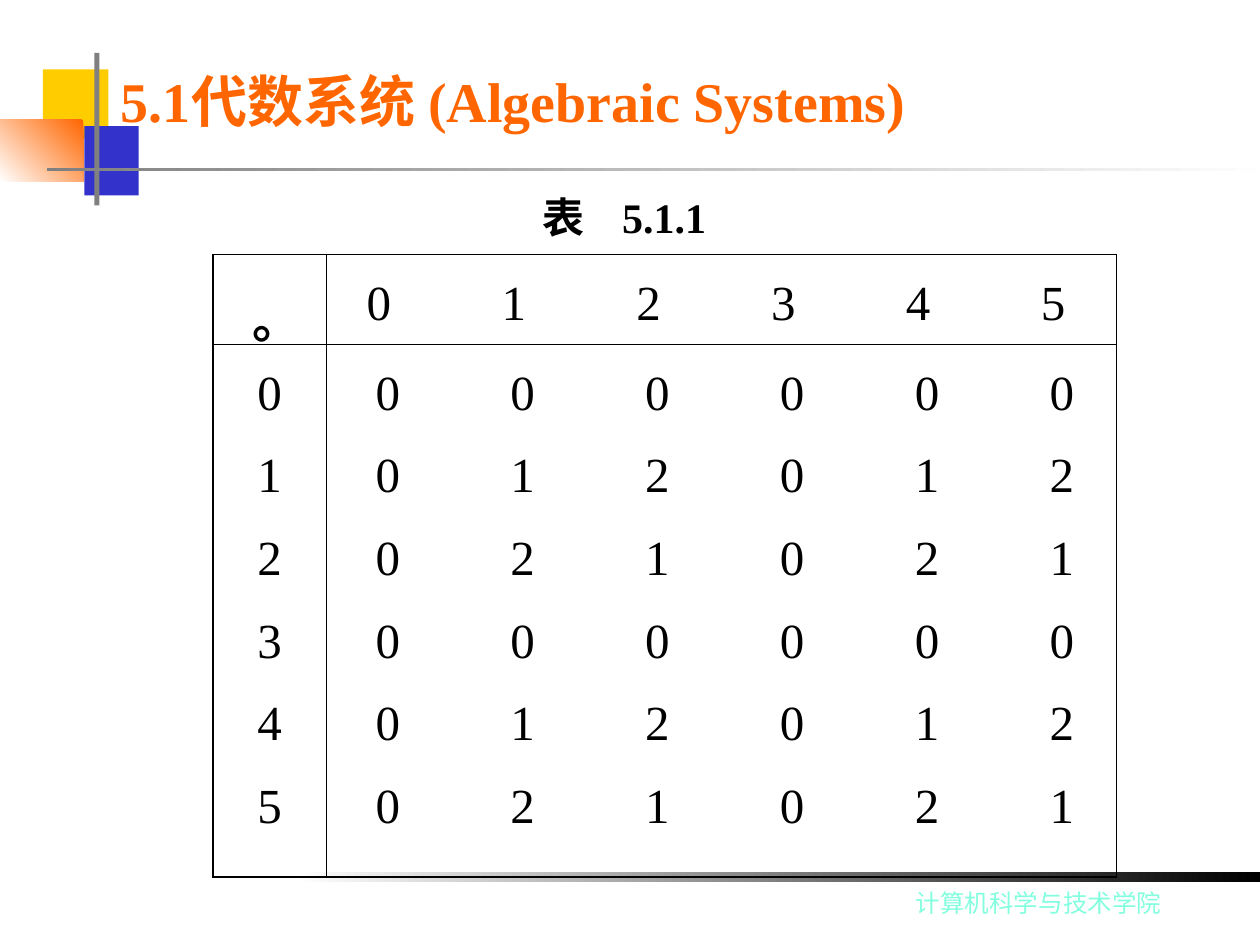
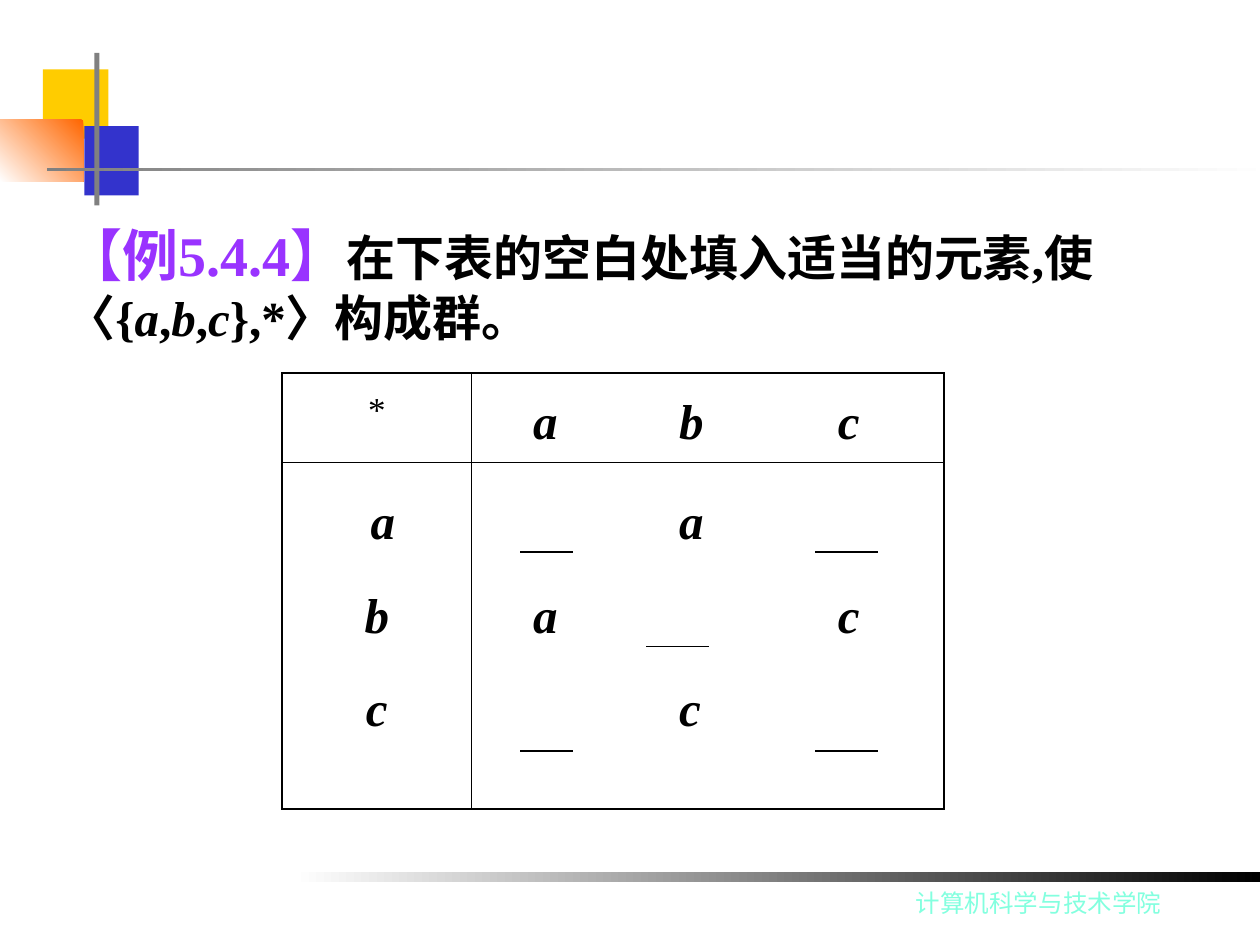
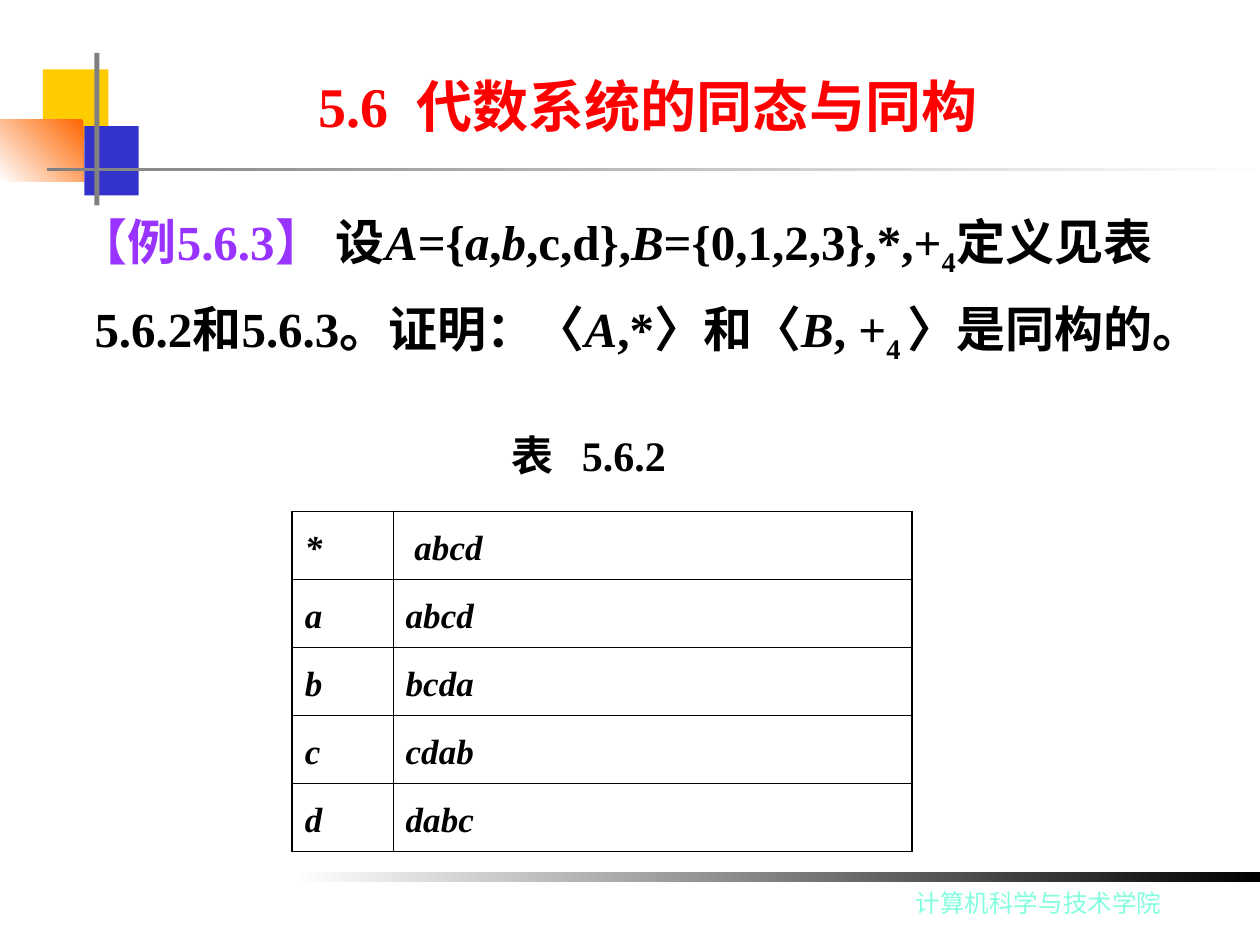
from lxml import etree
from pptx import Presentation
from pptx import util as u
from pptx.dml import color
from pptx.enum import shapes, text
from pptx.oxml import ns

COLUMNS, ROWS = 10, 7.5
SERIF, SANS = "Times New Roman", "Cabin"
BLACK, WHITE, GREY = "000000", "FFFFFF", "808080"
ORANGE, YELLOW, BLUE = "FF6600", "FFCC00", "3333CC"
RED, VIOLET, MINT = "FF0000", "9933FF", "83FFDF"
OUTER, INNER = 1.08, 0.45
TITLE_SIZE, TEXT_SIZE, CAPTION_SIZE, SMALL_SIZE, FOOTER_SIZE = 32, 28, 24, 20, 14
LEFT, CENTER, JUSTIFY = text.PP_ALIGN.LEFT, text.PP_ALIGN.CENTER, text.PP_ALIGN.JUSTIFY
ITALIC = {"italic": True}
SUBSCRIPT = {"baseline": -25}


def rgb(value):
    """Turn a hex string into a colour."""
    return color.RGBColor.from_string(value)


def span(*cells):
    """Turn alternating columns and rows of the slide grid into lengths."""
    return [u.Inches(cell) for cell in cells]


def child(parent, tag, **attributes):
    """Append a drawing element to its parent."""
    return etree.SubElement(parent, ns.qn(tag), attributes)


def style_font(font, name=None, size=None, hue=None, bold=None, italic=None,
               baseline=None, tracking=None):
    """Set only the given properties of a font."""
    if name:
        font.name = name
    if size:
        font.size = u.Pt(size)
    if hue:
        font.color.rgb = rgb(hue)
    if bold is not None:
        font.bold = bold
    if italic is not None:
        font.italic = italic
    if baseline:
        font._element.set("baseline", str(baseline * 1000))
    if tracking:
        font._element.set("spc", str(tracking * 100))


def write(frame, paragraphs, size, hue=BLACK, name=SERIF, bold=False, italic=False,
          align=LEFT, spacing=1.0, before=0, tabs=(), margin=None, indent=None):
    """Fill a text frame; a paragraph is a string or a list of (text, changes)."""
    for index, content in enumerate(paragraphs):
        paragraph = frame.add_paragraph() if index else frame.paragraphs[0]
        properties = paragraph._p.get_or_add_pPr()
        for key, length in (("marL", margin), ("indent", indent)):
            if length is not None:
                properties.set(key, str(u.Inches(length)))
        child(properties, "a:buNone")
        if tabs:
            stops = child(properties, "a:tabLst")
            for stop in tabs:
                child(stops, "a:tab", pos=str(u.Inches(stop)), algn="l")
        style_font(paragraph.font, name, size, hue, bold, italic)
        paragraph.alignment = align
        paragraph.line_spacing = spacing
        paragraph.space_before = u.Pt(before if index else 0)
        for words, changes in [(content, {})] if isinstance(content, str) else content:
            run = paragraph.add_run()
            run.text = words
            style_font(run.font, **changes)


def add_text(slide, place, paragraphs, wrap=True, **style):
    """Add a text box."""
    box = slide.shapes.add_textbox(*span(*place))
    box.text_frame.word_wrap = wrap
    write(box.text_frame, paragraphs, **style)
    return box


def fill_placeholder(placeholder, place, paragraphs, **style):
    """Move a placeholder and write its text."""
    placeholder.left, placeholder.top, placeholder.width, placeholder.height = span(*place)
    placeholder.text_frame.auto_size = text.MSO_AUTO_SIZE.NONE
    write(placeholder.text_frame, paragraphs, bold=True, **style)


def add_band(slide, place, start, end=None, angle=0):
    """Add a borderless rectangle, plain or fading from start to end."""
    band = slide.shapes.add_shape(shapes.MSO_SHAPE.RECTANGLE, *span(*place))
    band.shadow.inherit = False
    band.line.fill.background()
    if end:
        band.fill.gradient()
        band.fill.gradient_angle = angle
        for stop, hue in zip(band.fill.gradient_stops, (start, end)):
            stop.color.rgb = rgb(hue)
    else:
        band.fill.solid()
        band.fill.fore_color.rgb = rgb(start)
    return band


def decorate_master(deck, slide):
    """Put the corner blocks, rules and footer on the slide master."""
    parts = [
        add_band(slide, (0.34, 0.55, 0.52, 0.55), YELLOW),
        add_band(slide, (0.67, 1, 0.43, 0.55), BLUE),
        add_band(slide, (0, 0.95, 0.66, 0.49), ORANGE, WHITE, 225),
        add_band(slide, (0.75, 0.42, 0.04, 1.21), GREY),
        add_band(slide, (0.37, 1.33, 9.75, 0.03), WHITE, GREY, 180),
        add_band(slide, (2.33, 6.92, 7.67, 0.08), BLACK, WHITE, 180),
        add_text(slide, (7.17, 7, 2.15, 0.34), ["计算机科学与技术学院"], wrap=False,
                 size=FOOTER_SIZE, hue=MINT, name=SANS),
    ]
    for number, part in enumerate(parts, 100):
        part.element.nvSpPr.cNvPr.set("id", str(number))
        deck.slide_master.element.cSld.spTree.append(part.element)


def add_border(cell, side, width):
    """Draw one side of a cell."""
    line = child(cell._tc.get_or_add_tcPr(), f"a:ln{side}", w=str(u.Pt(width)))
    child(child(line, "a:solidFill"), "a:srgbClr", val=BLACK)


def add_operation_table(slide, left, top, widths, heights, cells):
    """Add a ruled table from rows of (paragraphs, style) cells."""
    last_row, last_column = len(heights) - 1, len(widths) - 1
    frame = slide.shapes.add_table(len(heights), len(widths),
                                   *span(left, top, sum(widths), sum(heights)))
    table = frame.table
    table.first_row = table.horz_banding = False
    for column, width in zip(table.columns, widths):
        column.width = u.Inches(width)
    for row, height in zip(table.rows, heights):
        row.height = u.Inches(height)
    for r, row in enumerate(cells):
        for c, (paragraphs, style) in enumerate(row):
            cell = table.cell(r, c)
            edges = {"L": c == 0, "R": c == last_column, "T": r == 0, "B": r == last_row}
            for side, is_outer in edges.items():
                add_border(cell, side, OUTER if is_outer else INNER)
            cell.fill.background()
            write(cell.text_frame, paragraphs, **style)


def add_blank(slide, left, width, level):
    """Draw an answer line to be filled in."""
    blank = slide.shapes.add_connector(shapes.MSO_CONNECTOR.STRAIGHT,
                                       *span(left, level, left + width, level))
    blank.line.color.rgb = rgb(BLACK)
    blank.line.width = u.Pt(0.75)
    child(blank.element.spPr, "a:effectLst")


def add_caption(slide, place, number, tabs):
    """Add a table caption."""
    add_text(slide, place, [f"\t表\t{number}"], size=CAPTION_SIZE, bold=True, tabs=tabs)


def tabbed(entries):
    """Set each entry at its own tab stop."""
    return "".join(f"\t{entry}" for entry in entries)


def build_algebraic_systems(slide):
    """Show the operation table on six elements."""
    fill_placeholder(slide.shapes.title, (0.75, 0.17, 8.5, 1.25),
                     ["5.1代数系统 (Algebraic Systems)"],
                     size=TITLE_SIZE, hue=ORANGE, margin=0.11)
    add_caption(slide, (4.06, 1.47, 2, 0.5), "5.1.1", (0.15, 0.78))
    elements = range(6)
    base = {"size": TEXT_SIZE, "spacing": 1.3, "before": 7}
    head_tabs, product_tabs = ([start + 1.07 * i for i in elements] for start in (0.22, 0.29))
    products = [tabbed(a * b % 3 for b in elements) for a in elements]
    add_operation_table(slide, 1.69, 2.02, (0.9, 6.27), (0.71, 4.23), [
        [(["。"], {**base, "bold": True, "margin": 0.21}),
         ([tabbed(elements)], {**base, "tabs": head_tabs})],
        [([str(a) for a in elements], {**base, "align": CENTER}),
         (products, {**base, "tabs": product_tabs})],
    ])


def build_group_exercise(slide):
    """Show the table whose blanks make a group."""
    add_text(slide, (0.43, 1.7, 9.17, 1.1), [[
        ("【例5.4.4】", {"size": TITLE_SIZE, "hue": VIOLET}),
        ("在下表的空白处填入适当的元素,使〈{", {}),
        ("a", ITALIC), (",", {}), ("b", ITALIC), (",", {}), ("c", ITALIC),
        ("},*〉构成群。", {}),
    ]], size=TEXT_SIZE, bold=True)
    base = {"size": TEXT_SIZE, "bold": True, "italic": True, "before": 7}
    tabs = {"tabs": (0.39, 1.55, 2.81)}
    add_operation_table(slide, 2.24, 2.96, (1.5, 3.75), (0.71, 2.75), [
        [(["*"], {"size": SMALL_SIZE, "spacing": 1.3, "align": CENTER}),
         ([tabbed("abc")], {**base, **tabs, "spacing": 1.3})],
        [([" a", "b", "c"], {**base, "spacing": 1.5, "align": CENTER}),
         (["\t\ta", "\ta\t\tc", "\t\tc"], {**base, **tabs, "spacing": 1.5})],
    ])
    for level in (4.38, 5.96):
        add_blank(slide, 4.13, 0.42, level)
        add_blank(slide, 6.47, 0.5, level)
    add_blank(slide, 5.13, 0.5, 5.13)


def build_isomorphism(slide):
    """Show the isomorphism example with its cyclic table."""
    fill_placeholder(slide.shapes.title, (1.69, 0.44, 7.01, 0.79),
                     [[("5.6", {}), (" ", {"tracking": 8}), ("代数系统的同态与同构 ", {})]],
                     size=TITLE_SIZE, hue=RED, align=CENTER)
    fill_placeholder(slide.placeholders[1], (0.27, 1.47, 8.98, 2.21), [[
        ("【例5.6.3】", {"hue": VIOLET}), (" 设", {}),
        ("A", ITALIC), ("={", {}), ("a", ITALIC), (",", {}), ("b", ITALIC), (",c,d},", {}),
        ("B", ITALIC), ("={0,1,2,3},*,+", {}), ("4", SUBSCRIPT),
        ("定义见表5.6.2和5.6.3。证明：〈", {}), ("A", ITALIC), (",*〉和〈", {}),
        ("B", ITALIC), (", +", {}), ("4 ", SUBSCRIPT), ("〉是同构的。", {}),
    ]], size=TEXT_SIZE, align=JUSTIFY, spacing=1.3, margin=0.38, indent=-0.13)
    add_caption(slide, (3.5, 3.36, 2.75, 0.5), "5.6.2", (0.46, 1.02))
    style = {"size": SMALL_SIZE, "bold": True, "italic": True, "spacing": 1.3}
    letters = "abcd"
    rows = [("*", " " + letters)]
    rows += [(letter, letters[i:] + letters[:i]) for i, letter in enumerate(letters)]
    add_operation_table(slide, 2.32, 4.06, (0.8, 4.12), [0.54] * len(rows),
                        [[([entry], style) for entry in row] for row in rows])


def main():
    """Build and save the deck."""
    deck = Presentation()
    deck.slide_width, deck.slide_height = span(COLUMNS, ROWS)
    builders = ((5, build_algebraic_systems), (6, build_group_exercise), (1, build_isomorphism))
    for index, (layout, build) in enumerate(builders):
        slide = deck.slides.add_slide(deck.slide_layouts[layout])
        if index == 0:
            decorate_master(deck, slide)
        build(slide)
    deck.save("out.pptx")


if __name__ == "__main__":
    main()
